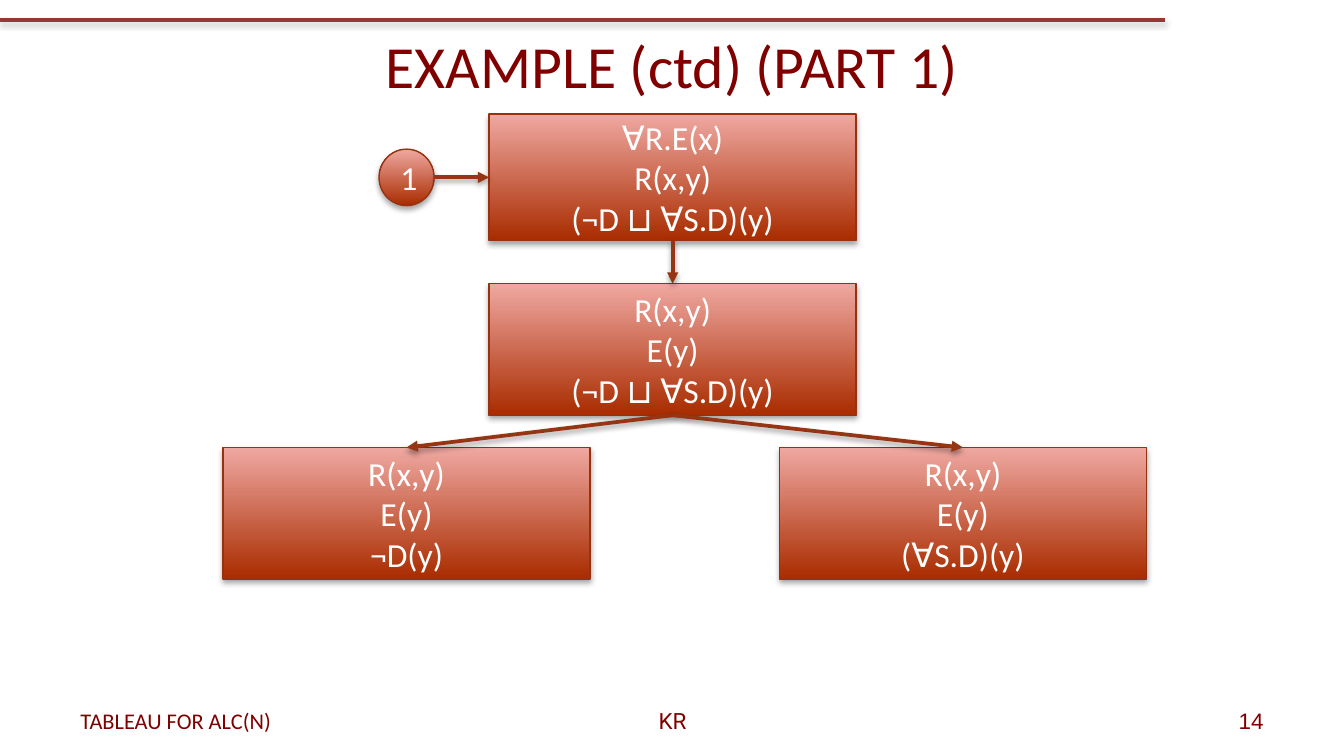
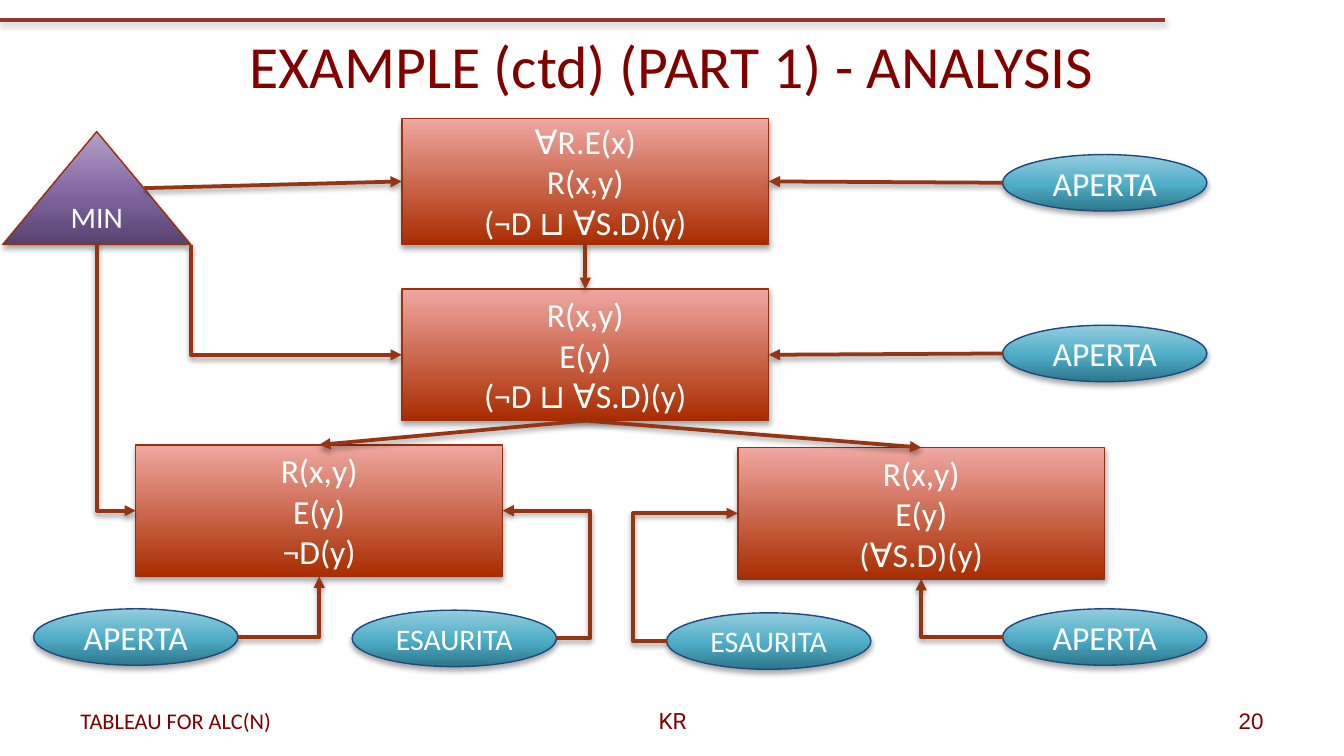
"""Build two slides of tableau proof trees."""
import pptx
import pptx.util
import pptx.dml.color
import pptx.enum.shapes
import pptx.enum.text
import pptx.oxml.ns
from lxml import etree

Inches = pptx.util.Inches
Kind = pptx.enum.shapes.MSO_SHAPE
Wire = pptx.enum.shapes.MSO_CONNECTOR
Align = pptx.enum.text.PP_ALIGN
qn = pptx.oxml.ns.qn

MAROON, WHITE, RULE, ARROW, EDGE = "800000", "FFFFFF", "953735", "963513", "96320F"
RED = [(0, "A92C00"), (100, "EFA8A1")]
TEAL = [(0, "2C778B"), (48, "50AEC8"), (100, "93CDDD")]
PLUM = [(0, "56426E"), (48, "8469A5"), (100, "B3A2C7")]
BOX_W, TOP_H, BOX_H = 2.73, 0.94, 0.98
TAG_W, TAG_H = 1.52, 0.42
ROOT = "∀R.E(x)\nR(x,y)\n(¬D ⊔ ∀S.D)(y)"
NEXT = "R(x,y)\nE(y)\n(¬D ⊔ ∀S.D)(y)"
LEFT = "R(x,y)\nE(y)\n¬D(y)"
RIGHT = "R(x,y)\nE(y)\n(∀S.D)(y)"


def tint(code):
    """Turn a hex string into a colour."""
    return pptx.dml.color.RGBColor.from_string(code)


def write(frame, text, size=18, color=WHITE, font="Calibri", align=Align.CENTER, wrap=True):
    """Fill a text frame, one paragraph per line."""
    frame.word_wrap = wrap
    frame.vertical_anchor = pptx.enum.text.MSO_ANCHOR.MIDDLE
    for i, line in enumerate(text.split("\n")):
        para = frame.add_paragraph() if i else frame.paragraphs[0]
        para.alignment = align
        run = para.add_run()
        run.text = line
        run.font.size = pptx.util.Pt(size)
        run.font.name = font
        run.font.color.rgb = tint(color)


def paint(parent, code, **extra):
    """Add a colour element with optional child values."""
    item = etree.SubElement(parent, qn("a:srgbClr"), val=code)
    for name, value in extra.items():
        etree.SubElement(item, qn("a:" + name), val=str(value))


def shade(props, code="000000", alpha=35, drop=1.8):
    """Give an element a soft shadow that falls down."""
    group = props.find(qn("a:effectLst"))
    if group is None:
        group = etree.SubElement(props, qn("a:effectLst"))
    glow = etree.SubElement(
        group, qn("a:outerShdw"), blurRad=str(pptx.util.Pt(3.1)),
        dist=str(pptx.util.Pt(drop)), dir="5400000", rotWithShape="0")
    paint(glow, code, alpha=alpha * 1000)


def blend(shape, stops):
    """Fill a shape with a gradient that rises from the base."""
    shape.fill.gradient()
    shape.fill.gradient_angle = 90
    group = shape.element.spPr.find(qn("a:gradFill")).find(qn("a:gsLst"))
    for old in list(group):
        group.remove(old)
    for pos, code in stops:
        paint(etree.SubElement(group, qn("a:gs"), pos=str(pos * 1000)), code)


def node(slide, kind, at, text, stops=RED, edge=EDGE, **style):
    """Add a shaded shape with centred text."""
    shape = slide.shapes.add_shape(kind, *map(Inches, at))
    shape.shadow.inherit = False
    blend(shape, stops)
    shape.line.color.rgb = tint(edge)
    shape.line.width = pptx.util.Pt(0.75)
    shade(shape.element.spPr)
    write(shape.text_frame, text, **style)
    return shape


def box(slide, x, y, text, high=BOX_H):
    """Add a box of the tree."""
    return node(slide, Kind.RECTANGLE, (x, y, BOX_W, high), text)


def tag(slide, x, y, text="APERTA", size=18):
    """Add a status oval."""
    return node(slide, Kind.OVAL, (x, y, TAG_W, TAG_H), text, TEAL, "1F497D",
                size=size, wrap=False)


def side(shape, name):
    """Return the middle of one side of a shape."""
    dx, dy = {"top": (1, 0), "left": (0, 1), "base": (1, 2), "right": (2, 1)}[name]
    return shape.left + shape.width * dx // 2, shape.top + shape.height * dy // 2


def line(slide, start, end, kind=Wire.STRAIGHT, color=ARROW, glow="000000", head=True):
    """Add a shaded line, with an arrowhead by default."""
    wire = slide.shapes.add_connector(kind, *map(int, (*start, *end)))
    wire.line.color.rgb = tint(color)
    wire.line.width = pptx.util.Pt(2)
    props = wire.element.spPr
    if head:
        etree.SubElement(props.find(qn("a:ln")), qn("a:tailEnd"), type="triangle")
    shade(props, glow, 38, 1.6)
    return wire


def link(slide, top, low):
    """Join the base of one box to the top of another."""
    wire = line(slide, side(top, "base"), side(low, "top"))
    wire.begin_connect(top, 2)
    wire.end_connect(low, 0)


def turn(slide, start, end, down=False):
    """Add an arrow with one corner, going across or down first."""
    (x1, y1), (x2, y2) = start, end
    if down:
        mx, my, dx, dy = (x1 + x2) / 2, (y1 + y2) / 2, (x2 - x1) / 2, (y2 - y1) / 2
        start, end = (mx + dy, my - dx), (mx - dy, my + dx)
    wire = line(slide, start, end, Wire.ELBOW)
    props = wire.element.spPr
    props.find(qn("a:prstGeom")).set("prst", "bentConnector2")
    if down:
        props.find(qn("a:xfrm")).set("rot", "16200000")


def loop(slide, start, end, out):
    """Add an arrow that steps out sideways before it comes back."""
    wire = line(slide, start, end, Wire.ELBOW)
    ratio = round(Inches(out) / (end[0] - start[0]) * 100000)
    geom = wire.element.spPr.find(qn("a:prstGeom"))
    guides = geom.find(qn("a:avLst"))
    if guides is None:
        guides = etree.SubElement(geom, qn("a:avLst"))
    etree.SubElement(guides, qn("a:gd"), name="adj1", fmla=f"val {ratio}")


def page(deck, title, number):
    """Add a slide with its rule, title and footer."""
    slide = deck.slides.add_slide(deck.slide_layouts[5])
    line(slide, (0, Inches(0.15)), (Inches(8.67), Inches(0.15)),
         color=RULE, glow="808080", head=False)
    head = slide.shapes.title
    head.left, head.top, head.width, head.height = map(Inches, (0.5, 0.01, 9, 0.94))
    write(head.text_frame, title, size=32, color=MAROON)
    for x, wide, text, font, align in (
            (0.5, 2.73, "TABLEAU FOR ALC(N)", "Calibri", Align.LEFT),
            (3.42, 3.17, "KR", "Roboto", Align.CENTER),
            (7.17, 2.33, str(number), "Arial", Align.RIGHT)):
        foot = slide.shapes.add_textbox(*map(Inches, (x, 5.21, wide, 0.3)))
        write(foot.text_frame, text, size=12, color=MAROON, font=font, align=align)
    return slide


def tree(slide, root, mid, left, right):
    """Add the four boxes of the proof and join them."""
    boxes = (box(slide, *root, ROOT, TOP_H), box(slide, *mid, NEXT),
             box(slide, *left, LEFT), box(slide, *right, RIGHT))
    for top, low in ((0, 1), (1, 2), (1, 3)):
        link(slide, boxes[top], boxes[low])
    return boxes


def proof(deck):
    """Build the slide with the proof tree."""
    slide = page(deck, "EXAMPLE (ctd) (PART 1)", 14)
    root = tree(slide, (3.64, 0.85), (3.64, 2.11), (1.66, 3.33), (5.8, 3.33))[0]
    mark = node(slide, Kind.OVAL, (2.82, 1.11, 0.41, 0.42), "1")
    line(slide, side(mark, "right"), side(root, "left"))


def study(deck):
    """Build the slide that marks each box as open or spent."""
    slide = page(deck, "EXAMPLE (ctd) (PART 1) - ANALYSIS", 20)
    root, mid, left, right = tree(
        slide, (2.99, 0.88), (2.99, 2.15), (1.01, 3.31), (5.49, 3.33))
    for goal, y in ((root, 1.15), (mid, 2.42)):
        line(slide, side(tag(slide, 7.46, y), "left"), side(goal, "right"))
    turn(slide, side(tag(slide, 0.25, 4.53), "right"), side(left, "base"))
    turn(slide, side(tag(slide, 7.46, 4.53), "left"), side(right, "base"))
    spent = tag(slide, 2.62, 4.54, "ESAURITA", 16)
    loop(slide, side(spent, "right"), side(left, "right"), 0.25)
    spent = tag(slide, 4.96, 4.56, "ESAURITA", 16)
    loop(slide, side(spent, "left"), side(right, "left"), -0.25)
    peak = node(slide, Kind.ISOSCELES_TRIANGLE, (0.02, 0.98, 1.4, 0.84), "MIN",
                PLUM, size=16, wrap=False)
    base = peak.top + peak.height
    turn(slide, (peak.left + peak.width, base), side(mid, "left"), down=True)
    turn(slide, side(peak, "base"), side(left, "left"), down=True)
    slope = peak.left + peak.width * 3 // 4, peak.top + peak.height // 2
    line(slide, slope, side(root, "left"))


def main():
    """Build and save the deck."""
    deck = pptx.Presentation()
    deck.slide_width = Inches(10)
    deck.slide_height = deck.slide_width * 9 // 16
    proof(deck)
    study(deck)
    deck.save("out.pptx")


if __name__ == "__main__":
    main()
